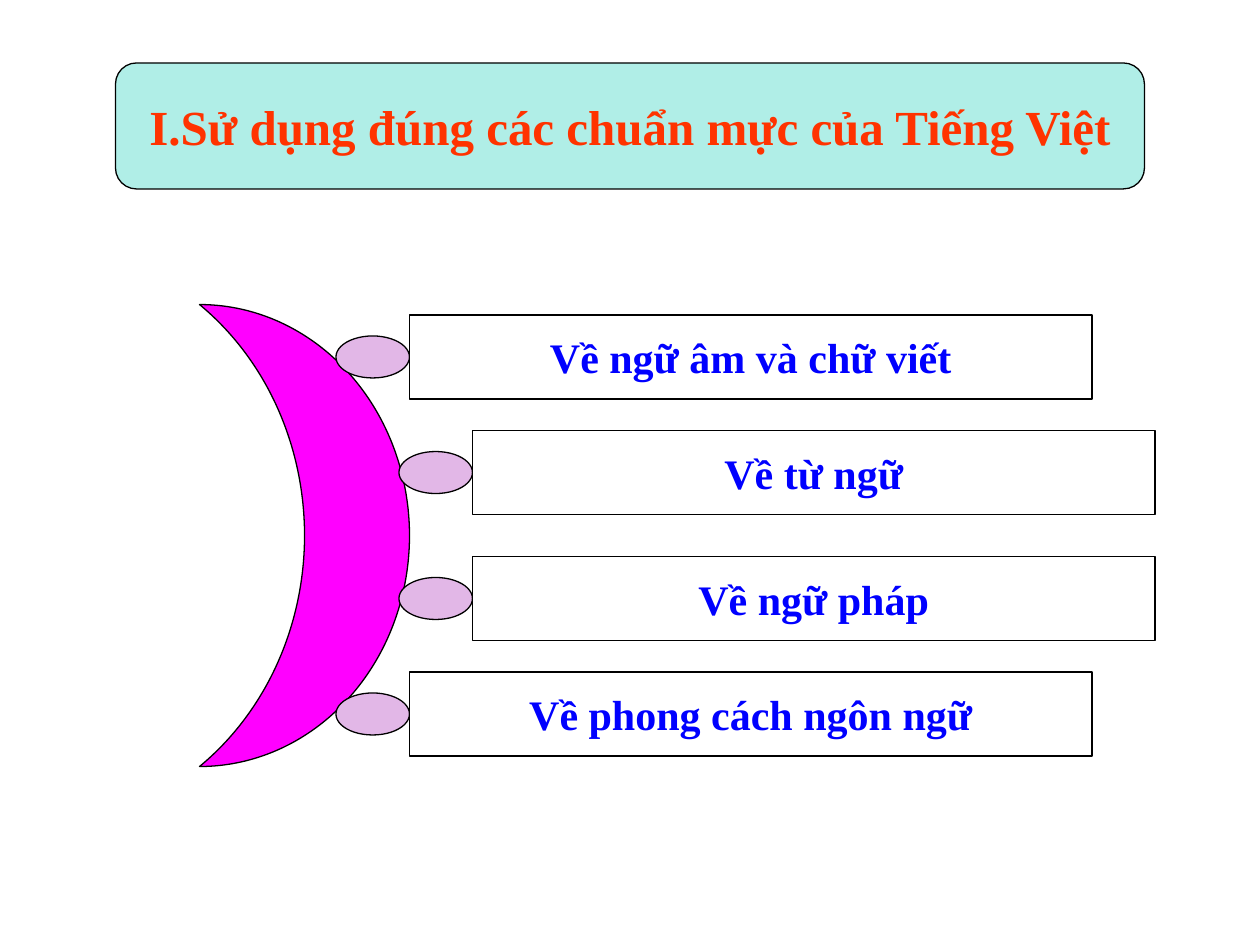
"""Build a slide on the standards of Vietnamese usage, with four topics around a crescent."""

from dataclasses import dataclass

from pptx import Presentation
from pptx.dml.color import RGBColor
from pptx.enum.shapes import MSO_SHAPE
from pptx.enum.text import MSO_ANCHOR, PP_ALIGN
from pptx.shapes.autoshape import Shape
from pptx.slide import Slide
from pptx.util import Inches, Pt

CELL = Inches(1) // 12
FONT = "Times New Roman"
COLORS = {
    "title_fill": "B0EEE7",
    "title_text": "FF3300",
    "crescent": "FF00FF",
    "bead": "E2B7E7",
    "topic_fill": "FFFFFF",
    "topic_text": "0000FF",
    "outline": "000000",
}


@dataclass(frozen=True)
class Area:
    column: int
    row: int
    columns: int
    rows: int


@dataclass(frozen=True)
class Topic:
    text: str
    column: int
    row: int

    @property
    def box(self) -> Area:
        return Area(self.column, self.row, 65, 8)

    @property
    def bead(self) -> Area:
        return Area(self.column - 7, self.row + 2, 7, 4)


TITLE = "I.Sử dụng đúng các chuẩn mực của Tiếng Việt"
TITLE_AREA = Area(11, 6, 98, 12)
CRESCENT_AREA = Area(19, 29, 20, 44)
TOPICS = [
    Topic("Về ngữ âm và chữ viết", 39, 30),
    Topic("Về từ ngữ", 45, 41),
    Topic("Về ngữ pháp", 45, 53),
    Topic("Về phong cách ngôn ngữ", 39, 64),
]


def color(name: str) -> RGBColor:
    return RGBColor.from_string(COLORS[name])


def draw(slide: Slide, kind: MSO_SHAPE, area: Area, fill: str) -> Shape:
    figure = slide.shapes.add_shape(
        kind,
        area.column * CELL,
        area.row * CELL,
        area.columns * CELL,
        area.rows * CELL,
    )
    figure.shadow.inherit = False
    figure.fill.solid()
    figure.fill.fore_color.rgb = color(fill)
    figure.line.color.rgb = color("outline")
    figure.line.width = Pt(0.75)
    return figure


def write(figure: Shape, text: str, size: int, ink: str) -> None:
    frame = figure.text_frame
    frame.text = text
    frame.word_wrap = False
    frame.vertical_anchor = MSO_ANCHOR.MIDDLE
    paragraph = frame.paragraphs[0]
    paragraph.alignment = PP_ALIGN.CENTER
    font = paragraph.runs[0].font
    font.name = FONT
    font.size = Pt(size)
    font.bold = True
    font.color.rgb = color(ink)


def main() -> None:
    deck = Presentation()
    deck.slide_width, deck.slide_height = Inches(10), Inches(7.5)
    slide = deck.slides.add_slide(deck.slide_layouts[6])

    title = draw(slide, MSO_SHAPE.ROUNDED_RECTANGLE, TITLE_AREA, "title_fill")
    write(title, TITLE, 28, "title_text")

    crescent = draw(slide, MSO_SHAPE.MOON, CRESCENT_AREA, "crescent")
    crescent.rotation = 180

    for topic in TOPICS:
        draw(slide, MSO_SHAPE.OVAL, topic.bead, "bead")
    for topic in TOPICS:
        box = draw(slide, MSO_SHAPE.RECTANGLE, topic.box, "topic_fill")
        write(box, topic.text, 24, "topic_text")

    deck.save("out.pptx")


if __name__ == "__main__":
    main()
